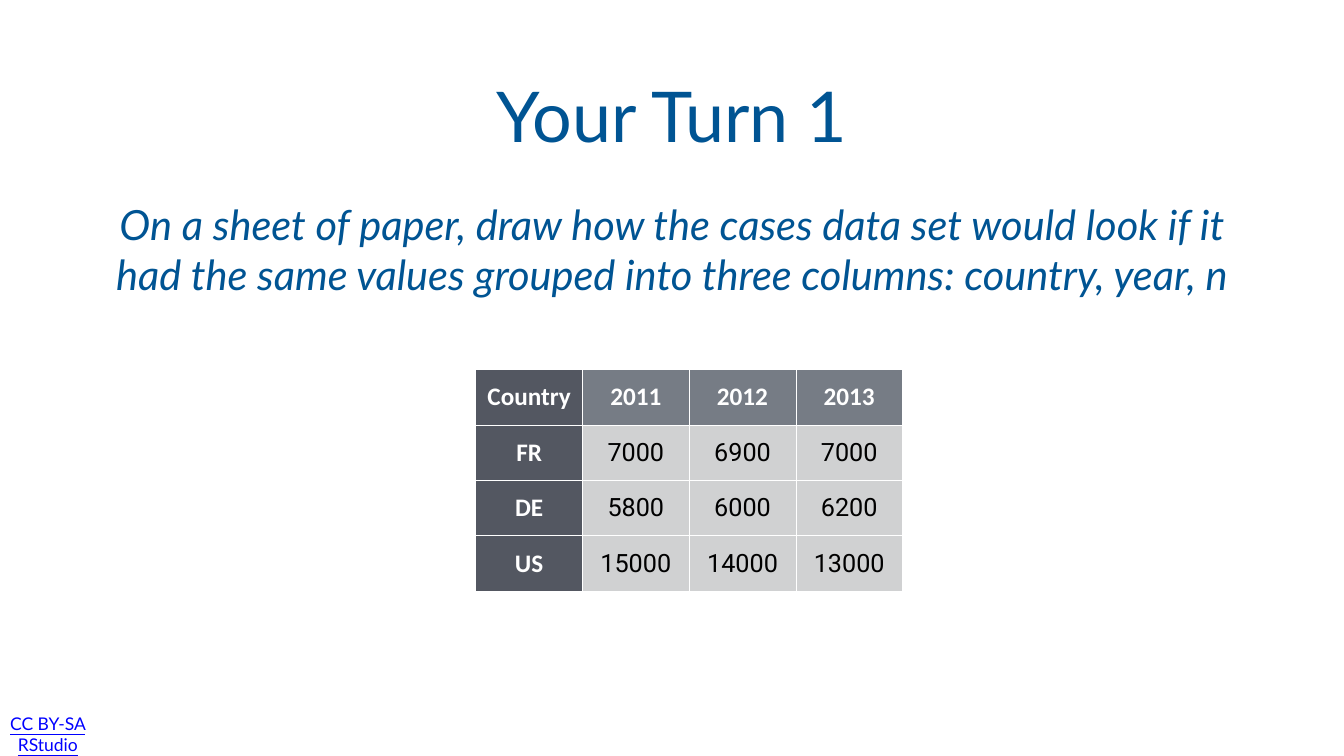
from lxml.etree import SubElement
from pptx import Presentation
from pptx.dml.color import RGBColor
from pptx.enum.text import MSO_ANCHOR as ANCHOR, MSO_AUTO_SIZE as AUTO, PP_ALIGN as ALIGN
from pptx.oxml.ns import qn
from pptx.util import Inches, Pt

WIDTH, HEIGHT = Inches(26.67), Inches(15)
BLUE = RGBColor(0x00, 0x54, 0x93)
LINK = RGBColor(0x00, 0x00, 0xFF)
WHITE = RGBColor(0xFF, 0xFF, 0xFF)
BLACK = RGBColor(0x00, 0x00, 0x00)
SLATE = RGBColor(0x76, 0x7C, 0x85)
DARK = RGBColor(0x53, 0x57, 0x61)
PALE = RGBColor(0xD0, 0xD1, 0xD2)
PAD = Inches(0.08)
CELL_PAD = Inches(0.06)

CASES = [
    ["Country", "2011", "2012", "2013"],
    ["FR", "7000", "6900", "7000"],
    ["DE", "5800", "6000", "6200"],
    ["US", "15000", "14000", "13000"],
]


def share(left, top, width, height):
    """Turn percentages of the slide into a box."""
    return [int(v * side / 100) for v, side in
            zip((left, top, width, height), (WIDTH, HEIGHT) * 2)]


def set_font(p, name, size, color, **styles):
    p.alignment = ALIGN.CENTER
    p.font.name, p.font.size = name, Pt(size)
    p.font.color.rgb = color
    for style, value in styles.items():
        setattr(p.font, style, value)


def fill_frame(tf, text, size, color, anchor=ANCHOR.MIDDLE, **styles):
    tf.word_wrap = True
    tf.auto_size = AUTO.NONE
    tf.vertical_anchor = anchor
    tf.margin_left = tf.margin_right = tf.margin_top = tf.margin_bottom = PAD
    tf.text = text
    set_font(tf.paragraphs[0], "Lato", size, color, **styles)


def add_title(slide, box, text):
    sp = slide.shapes.title
    sp.left, sp.top, sp.width, sp.height = box
    fill_frame(sp.text_frame, text, 100, BLUE)


def add_task(slide, box, text):
    tf = slide.shapes.add_textbox(*box).text_frame
    fill_frame(tf, text, 59.4, BLUE, ANCHOR.TOP, italic=True)
    tf.margin_top = Inches(0.4)


def add_license(slide, box, text):
    tf = slide.shapes.add_textbox(*box).text_frame
    fill_frame(tf, text, 25, LINK, underline=True)


def add_borders(cell):
    tc_pr = cell._tc.get_or_add_tcPr()
    for side in ("lnL", "lnR", "lnT", "lnB"):
        ln = SubElement(tc_pr, qn(f"a:{side}"), w=str(Pt(1)))
        fill = SubElement(ln, qn("a:solidFill"))
        SubElement(fill, qn("a:srgbClr"), val=str(WHITE))


def add_cases(slide, box, rows):
    table = slide.shapes.add_table(len(rows), len(rows[0]), *box).table
    table.first_row = table.horz_banding = False
    for i, row in enumerate(rows):
        for j, value in enumerate(row):
            cell = table.cell(i, j)
            add_borders(cell)
            cell.fill.solid()
            cell.fill.fore_color.rgb = DARK if j == 0 else SLATE if i == 0 else PALE
            cell.vertical_anchor = ANCHOR.MIDDLE
            cell.margin_left = cell.margin_right = CELL_PAD
            cell.margin_top = cell.margin_bottom = CELL_PAD
            cell.text = value
            header = i == 0 or j == 0
            set_font(cell.text_frame.paragraphs[0], "Calibri" if header else "Roboto",
                     36, WHITE if header else BLACK, bold=header)


def main():
    prs = Presentation()
    prs.slide_width, prs.slide_height = WIDTH, HEIGHT
    slide = prs.slides.add_slide(prs.slide_layouts[5])
    add_license(slide, share(0.37, 95.07, 6.37, 4), "CC BY-SA RStudio")
    add_title(slide, share(19.84, 2.6, 60.33, 25), "Your Turn 1")
    add_task(slide, share(5.92, 23.6, 88.15, 18.27),
             "On a sheet of paper, draw how the cases data set would look if it had "
             "the same values grouped into three columns: country, year, n")
    add_cases(slide, share(35.4, 48.87, 31.76, 29.33), CASES)
    prs.save("out.pptx")


if __name__ == "__main__":
    main()
